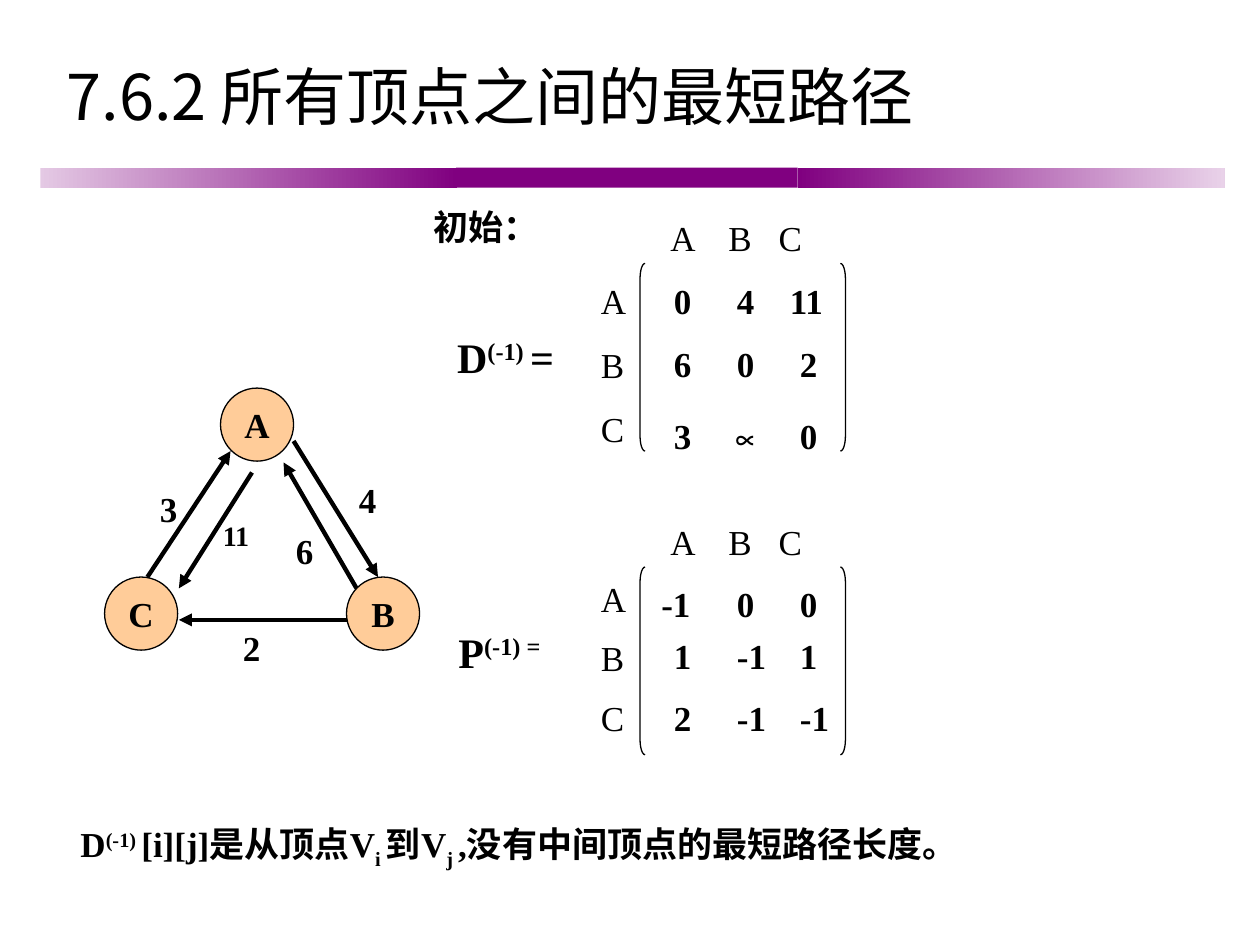
from lxml.etree import SubElement
from pptx import Presentation
from pptx.dml.color import RGBColor
from pptx.enum.shapes import MSO_CONNECTOR, MSO_SHAPE
from pptx.enum.text import MSO_ANCHOR, MSO_AUTO_SIZE, PP_ALIGN
from pptx.oxml.ns import qn
from pptx.util import Pt

PX = 9144
COLORS = {"text": "000000", "node": "FFCC99", "bar": "800080",
          "left_fade": "E4C9E4", "right_fade": "E9D2E9"}
SERIF, SANS = "Times New Roman", "Noto Sans CJK JP"
CELL_WIDTHS = {"11": 48, "-1": 43, "∝": 48}


def color(name):
    """Return a palette colour."""
    return RGBColor.from_string(COLORS[name])


def px(*values):
    """Turn px lengths into EMU."""
    return [v * PX for v in values]


def add_run(p, text, size=20, bold=True, font=SERIF, baseline=0):
    """Add one formatted run to a paragraph."""
    r = p.add_run()
    r.text = text
    r.font.size, r.font.bold, r.font.name = Pt(size), bold, font
    r.font.color.rgb = color("text")
    rpr = r.font._element
    SubElement(rpr, qn("a:ea"), typeface=SANS)
    if baseline:
        rpr.set("baseline", str(baseline * 1000))


def add_text(s, box, runs, wrap=False):
    """Add a text box holding one paragraph of (text, options) runs."""
    tf = s.shapes.add_textbox(*px(*box)).text_frame
    tf.word_wrap = wrap
    for text, options in runs:
        add_run(tf.paragraphs[0], text, **options)
    return tf


def add_plain_shape(s, kind, box):
    """Add a preset shape without a shadow."""
    sp = s.shapes.add_shape(kind, *px(*box))
    sp.shadow.inherit = False
    return sp


def add_title(s, box, text):
    """Place the slide title."""
    sp = s.shapes.title
    sp.left, sp.top, sp.width, sp.height = px(*box)
    tf = sp.text_frame
    tf.auto_size = MSO_AUTO_SIZE.NONE
    tf.vertical_anchor = MSO_ANCHOR.MIDDLE
    p = tf.paragraphs[0]
    p.alignment = PP_ALIGN.LEFT
    add_run(p, text, size=36, bold=False, font=SANS)


def add_bar(s, box):
    """Draw the rule under the title, fading at both ends."""
    x, y, w, h = box
    parts = [(0, 331, "left_fade", "bar"), (330, 271, "bar", "bar"),
             (601, w - 601, "bar", "right_fade")]
    for dx, width, start, end in parts:
        sp = add_plain_shape(s, MSO_SHAPE.RECTANGLE, (x + dx, y, width, h))
        sp.line.fill.background()
        if start == end:
            sp.fill.solid()
            sp.fill.fore_color.rgb = color(start)
            continue
        sp.fill.gradient()
        sp.fill.gradient_angle = 0
        for stop, position, name in zip(sp.fill.gradient_stops, (0, 1), (start, end)):
            stop.position = position
            stop.color.rgb = color(name)


def add_node(s, box, name):
    """Draw one graph vertex."""
    sp = add_plain_shape(s, MSO_SHAPE.OVAL, box)
    sp.fill.solid()
    sp.fill.fore_color.rgb = color("node")
    sp.line.color.rgb = color("text")
    sp.line.width = Pt(0.75)
    tf = sp.text_frame
    tf.word_wrap = False
    tf.vertical_anchor = MSO_ANCHOR.MIDDLE
    tf.paragraphs[0].alignment = PP_ALIGN.CENTER
    add_run(tf.paragraphs[0], name)


def add_edge(s, x1, y1, x2, y2):
    """Draw one directed edge."""
    line = s.shapes.add_connector(MSO_CONNECTOR.STRAIGHT, *px(x1, y1, x2, y2))
    line.line.color.rgb = color("text")
    line.line.width = Pt(2.5)
    SubElement(line.line._get_or_add_ln(), qn("a:tailEnd"), type="triangle")
    SubElement(line._element.spPr, qn("a:effectLst"))


def add_graph(s, box):
    """Draw the weighted graph with vertices, edges and weights."""
    x, y = box[:2]
    for name, dx, dy in [("A", 92, 0), ("C", 0, 150), ("B", 192, 150)]:
        add_node(s, (x + dx, y + dy, 58, 58), name)
    edges = [(34, 150, 100, 50), (117, 67, 59, 159), (192, 184, 59, 184),
             (150, 42, 217, 150), (200, 159, 142, 59)]
    for x1, y1, x2, y2 in edges:
        add_edge(s, x + x1, y + y1, x + x2, y + y2)
    weights = [("3", 34, 74, 20), ("11", 84, 99, 16), ("2", 100, 184, 20),
               ("6", 142, 107, 20), ("4", 192, 67, 20)]
    for text, dx, dy, size in weights:
        add_text(s, (x + dx, y + dy, 50, 44), [(text, {"size": size})], wrap=True)


def add_matrix(s, box, label, label_box, row_tops, rows, spacing):
    """Draw a labelled 3 by 3 matrix between round brackets."""
    x, y = box[:2]
    dx, dy, w = label_box
    add_text(s, (x + dx, y + dy, w, 50), label)

    for kind, left in [(MSO_SHAPE.LEFT_BRACKET, 155), (MSO_SHAPE.RIGHT_BRACKET, 314)]:
        sp = add_plain_shape(s, kind, (x + left, y + 42, 4, 149))
        sp.adjustments[0] = 3
        sp.fill.background()
        sp.line.color.rgb = color("text")
        sp.line.width = Pt(0.75)

    tf = add_text(s, (x + 155, y, 175, 44), [("A\tB\tC", {"bold": False})], wrap=True)
    tf.margin_left = 24 * PX
    tabs = SubElement(tf.paragraphs[0]._p.get_or_add_pPr(), qn("a:tabLst"))
    for stop in (46, 86):
        SubElement(tabs, qn("a:tab"), pos=str(stop * PX), algn="l")

    tf = add_text(s, (x + 114, y + row_tops[0], 42, 140), [("A", {"bold": False})], wrap=True)
    for name in "BC":
        p = tf.add_paragraph()
        p.space_before = Pt(12.5)
        add_run(p, name, bold=False)
    for p in tf.paragraphs:
        p.line_spacing = spacing

    for top, row in zip(row_tops, rows):
        for col, (text, shift) in enumerate(row):
            font = "Arial" if text == "∝" else SERIF
            cell = (x + 172 + 50 * col + shift, y + top, CELL_WIDTHS.get(text, 34), 44)
            add_text(s, cell, [(text, {"font": font})])


def main():
    """Build the shortest path slide."""
    prs = Presentation()
    prs.slide_width, prs.slide_height = px(1000, 750)
    s = prs.slides.add_slide(prs.slide_layouts[5])
    add_bar(s, (32, 133, 940, 16))
    add_title(s, (43, 36, 906, 80), "7.6.2 所有顶点之间的最短路径")
    add_graph(s, (83, 308, 250, 228))
    add_text(s, (334, 158, 103, 44), [("初始：", {})])

    big, sup, sub = {"size": 24}, {"baseline": 30}, {"baseline": -25}
    big_sup = {**big, **sup}
    add_matrix(s, (353, 167, 330, 195), [("D", big), ("(-1) ", big_sup), ("=", big)],
               (0, 91, 97), (50, 100, 157),
               [[("0", 0), ("4", 0), ("11", -8)],
                [("6", 0), ("0", 0), ("2", 0)],
                [("3", 0), ("∝", -6), ("0", 0)]], 1.0)
    add_matrix(s, (353, 408, 330, 192), [("P", big), ("(-1) =", big_sup)],
               (1, 84, 85), (49, 91, 140),
               [[("-1", -10), ("0", 0), ("0", 0)],
                [("1", 0), ("-1", 0), ("1", 0)],
                [("2", 0), ("-1", 0), ("-1", 0)]], 0.9)
    add_text(s, (54, 648, 750, 48),
             [("D", {}), ("(-1) ", sup), ("[i][j]是从顶点V", {}), ("i ", sub),
              ("到V", {}), ("j ", sub), (",没有中间顶点的最短路径长度。", {})])
    prs.save("out.pptx")


if __name__ == "__main__":
    main()
